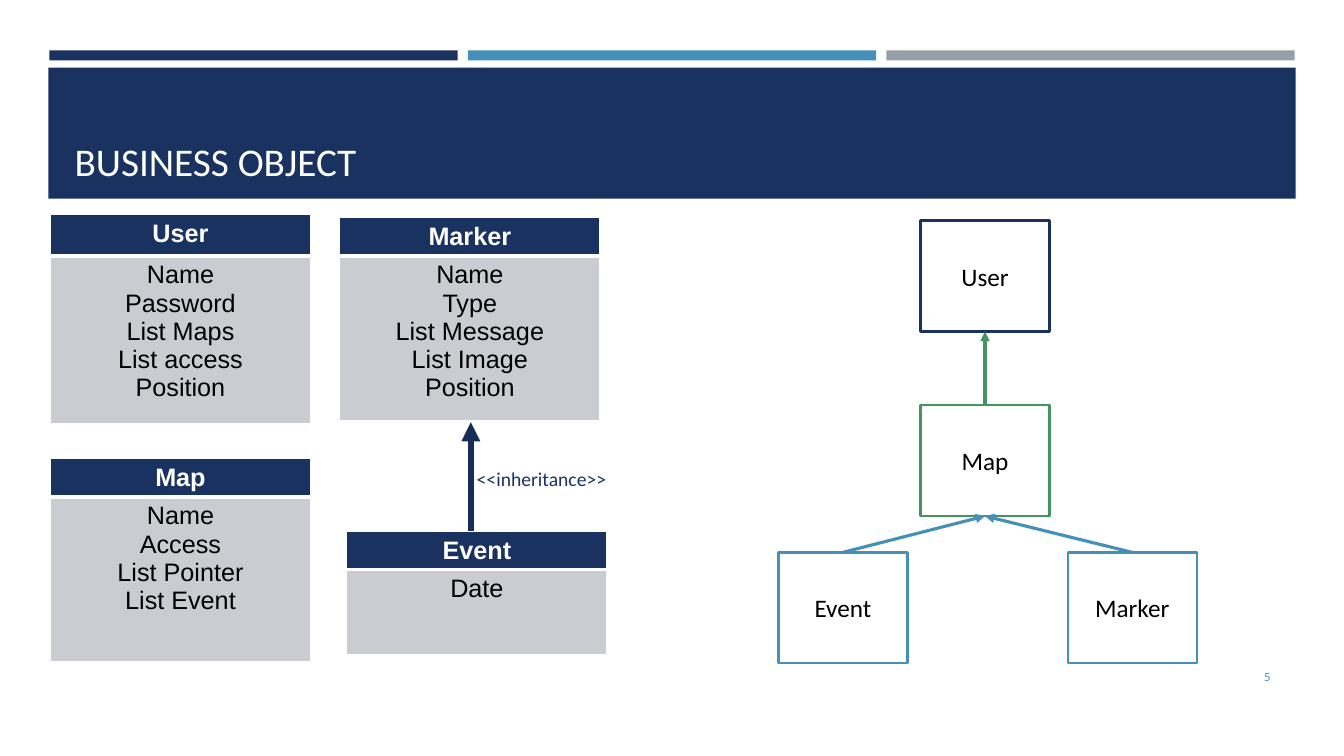
"""Build the business object slide: class tables, an inheritance arrow and an object tree."""
from dataclasses import dataclass

import lxml.etree
import pptx
import pptx.dml.color
import pptx.enum.shapes
import pptx.enum.text
import pptx.oxml.ns
import pptx.util

Inches = pptx.util.Inches
Align = pptx.enum.text.PP_ALIGN
Anchor = pptx.enum.text.MSO_ANCHOR

NAVY, BLUE, GREEN, GREY = "1A3260", "4590B8", "42955F", "969FA7"
WHITE, BLACK, CELL, ARROW = "FFFFFF", "000000", "CBCCD1", "172C56"
BOX_W, BOX_H = 1.28, 1.1
TABLE_W = 2.58


@dataclass
class ClassTable:
    name: str
    fields: list[str]
    x: float
    y: float
    head_h: float
    body_h: float


@dataclass
class Node:
    name: str
    x: float
    y: float
    line: str


@dataclass
class Link:
    child: str
    parent: str
    line: str


TABLES = [
    ClassTable("User", ["Name", "Password", "List Maps", "List access", "Position"], 0.5, 2.13, 0.41, 1.66),
    ClassTable("Map", ["Name", "Access", "List Pointer", "List Event"], 0.5, 4.55, 0.38, 1.63),
    ClassTable("Marker", ["Name", "Type", "List Message", "List Image", "Position"], 3.37, 2.16, 0.38, 1.63),
    ClassTable("Event", ["Date"], 3.44, 5.27, 0.38, 0.84),
]
NODES = [
    Node("User", 9.13, 2.19, NAVY),
    Node("Map", 9.13, 4.02, GREEN),
    Node("Event", 7.72, 5.48, BLUE),
    Node("Marker", 10.59, 5.48, BLUE),
]
LINKS = [Link("Event", "Map", BLUE), Link("Marker", "Map", BLUE), Link("Map", "User", GREEN)]


def rgb(value: str) -> pptx.dml.color.RGBColor:
    return pptx.dml.color.RGBColor.from_string(value)


def format_text(tf, size: float, color: str, font: str = "Calibri", align=Align.LEFT, bold: bool = False) -> None:
    for p in tf.paragraphs:
        p.alignment = align
        for r in p.runs:
            r.font.size = pptx.util.Pt(size)
            r.font.name = font
            r.font.bold = bold
            r.font.color.rgb = rgb(color)


def add_rect(s, x: float, y: float, w: float, h: float, fill: str):
    sp = s.shapes.add_shape(pptx.enum.shapes.MSO_SHAPE.RECTANGLE, Inches(x), Inches(y), Inches(w), Inches(h))
    sp.shadow.inherit = False
    sp.fill.solid()
    sp.fill.fore_color.rgb = rgb(fill)
    sp.line.fill.background()
    return sp


def add_text(s, text: str, x: float, y: float, w: float, h: float, size: float, color: str,
             align=Align.LEFT, anchor=Anchor.TOP) -> None:
    tf = s.shapes.add_textbox(Inches(x), Inches(y), Inches(w), Inches(h)).text_frame
    tf.word_wrap = True
    tf.vertical_anchor = anchor
    tf.text = text
    format_text(tf, size, color, align=align)


def add_title(s, text: str) -> None:
    sp = s.shapes.title
    sp.left, sp.top, sp.width, sp.height = Inches(0.64), Inches(0.77), Inches(12.06), Inches(1.11)
    sp.element.getparent().append(sp.element)
    tf = sp.text_frame
    tf.text = text
    tf.auto_size = pptx.enum.text.MSO_AUTO_SIZE.NONE
    tf.vertical_anchor = Anchor.BOTTOM
    format_text(tf, 28, WHITE)


def set_borders(cell, bottom: float) -> None:
    qn = pptx.oxml.ns.qn
    tc_pr = cell._tc.get_or_add_tcPr()
    for i, side in enumerate(("lnL", "lnR", "lnT", "lnB")):
        ln = lxml.etree.Element(qn(f"a:{side}"), w=str(pptx.util.Pt(bottom if side == "lnB" else 1)))
        fill = lxml.etree.SubElement(ln, qn("a:solidFill"))
        lxml.etree.SubElement(fill, qn("a:srgbClr"), val=WHITE)
        tc_pr.insert(i, ln)


def add_class_table(s, item: ClassTable) -> None:
    table = s.shapes.add_table(2, 1, Inches(item.x), Inches(item.y), Inches(TABLE_W),
                               Inches(item.head_h + item.body_h)).table
    rows = [
        (item.name, item.head_h, NAVY, WHITE, True, 3),
        ("\n".join(item.fields), item.body_h, CELL, BLACK, False, 1),
    ]
    for i, (text, height, fill, color, bold, bottom) in enumerate(rows):
        table.rows[i].height = Inches(height)
        cell = table.cell(i, 0)
        cell.text_frame.text = text
        cell.fill.solid()
        cell.fill.fore_color.rgb = rgb(fill)
        set_borders(cell, bottom)
        format_text(cell.text_frame, 18, color, "Arial", Align.CENTER, bold)


def add_node(s, node: Node):
    sp = add_rect(s, node.x, node.y, BOX_W, BOX_H, WHITE)
    sp.line.color.rgb = rgb(node.line)
    sp.line.width = pptx.util.Pt(1.75)
    tf = sp.text_frame
    tf.text = node.name
    tf.vertical_anchor = Anchor.MIDDLE
    format_text(tf, 18, BLACK, align=Align.CENTER)
    return sp


def add_arrow(s, x1: float, y1: float, x2: float, y2: float, color: str, width: float):
    qn = pptx.oxml.ns.qn
    c = s.shapes.add_connector(pptx.enum.shapes.MSO_CONNECTOR.STRAIGHT,
                               Inches(x1), Inches(y1), Inches(x2), Inches(y2))
    c.line.color.rgb = rgb(color)
    c.line.width = pptx.util.Pt(width)
    lxml.etree.SubElement(c.line._get_or_add_ln(), qn("a:tailEnd"), type="triangle")
    lxml.etree.SubElement(c.element.spPr, qn("a:effectLst"))
    return c


def main() -> None:
    prs = pptx.Presentation()
    prs.slide_width, prs.slide_height = Inches(13.33), Inches(7.5)
    s = prs.slides.add_slide(prs.slide_layouts[5])

    for i, color in enumerate((NAVY, BLUE, GREY)):
        add_rect(s, 0.49 + 4.15 * i, 0.5, 4.05, 0.1, color)
    add_rect(s, 0.48, 0.67, 12.37, 1.3, NAVY)
    add_title(s, "BUSINESS OBJECT")

    for item in TABLES:
        add_class_table(s, item)
    add_arrow(s, 4.67, 5.27, 4.67, 4.19, ARROW, 4.5)
    add_text(s, "<<inheritance>>", 4.63, 4.58, 1.54, 0.34, 14, NAVY)

    boxes = {node.name: add_node(s, node) for node in NODES}
    for link in LINKS:
        c = add_arrow(s, 0, 0, 1, 1, link.line, 2.25)
        c.begin_connect(boxes[link.child], 0)
        c.end_connect(boxes[link.parent], 2)

    add_text(s, "5", 11.55, 6.51, 1.15, 0.4, 9, BLUE, Align.RIGHT, Anchor.MIDDLE)
    prs.save("out.pptx")


if __name__ == "__main__":
    main()
